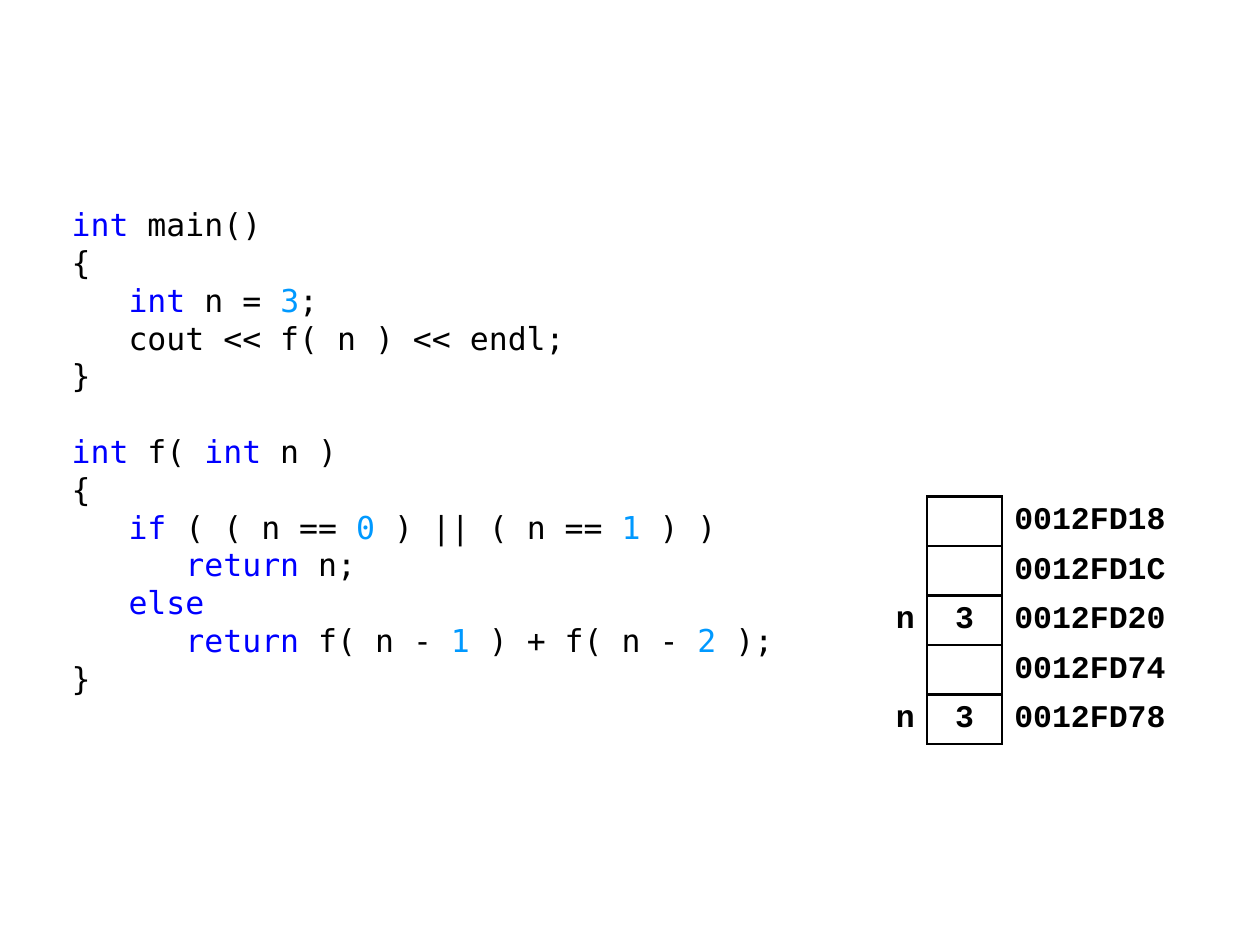
from itertools import groupby

from lxml import etree
from pptx import Presentation
from pptx import util as u
from pptx.dml.color import RGBColor
from pptx.enum import text
from pptx.oxml import ns

BLACK = RGBColor(0x00, 0x00, 0x00)
KEYWORD_BLUE = RGBColor(0x00, 0x00, 0xFF)
NUMBER_BLUE = RGBColor(0x00, 0x99, 0xFF)
KEYWORDS = {"int", "if", "else", "return"}
NO_STYLE = "{2D5ABB26-0587-4C30-8999-92F81FD0307C}"
LINE_HEIGHT = u.Pt(21.6)

MAIN_CODE = """int main()
{
   int n = 3;
   cout << f( n ) << endl;
}"""
FUNCTION_CODE = """int f( int n )
{
   if ( ( n == 0 ) || ( n == 1 ) )
      return n;
   else
      return f( n - 1 ) + f( n - 2 );
}"""
# Label, value and address of each memory cell
MEMORY = [
    ("", "", "0012FD18"),
    ("", "", "0012FD1C"),
    ("n", "3", "0012FD20"),
    ("", "", "0012FD74"),
    ("n", "3", "0012FD78"),
]
ROW_COUNT = 11
FIRST_USED = ROW_COUNT - len(MEMORY)


def token_colour(token):
    if token in KEYWORDS:
        return KEYWORD_BLUE
    return NUMBER_BLUE if token.isdigit() else BLACK


def add_border(cell, side):
    properties = cell._tc.get_or_add_tcPr()
    line = etree.SubElement(properties, ns.qn("a:ln" + side), w=str(u.Pt(1.5)))
    fill = etree.SubElement(line, ns.qn("a:solidFill"))
    etree.SubElement(fill, ns.qn("a:srgbClr"), val=str(BLACK))


deck = Presentation()
deck.slide_width, deck.slide_height = u.Pt(720), u.Pt(540)
page = deck.slides.add_slide(deck.slide_layouts[6])

# Code listing, coloured by token
box = page.shapes.add_textbox(u.Pt(33.84), u.Pt(113.76), u.Pt(425.52), u.Pt(297.36))
frame = box.text_frame
frame.word_wrap = True
para = frame.paragraphs[0]
for block_number, block in enumerate((MAIN_CODE, FUNCTION_CODE)):
    for line_number, line in enumerate(block.splitlines()):
        if block_number or line_number:
            para = frame.add_paragraph()
        para.line_spacing = LINE_HEIGHT
        if block_number and line_number == 0:
            para.space_before = LINE_HEIGHT
        tokens = ["".join(group) for _, group in groupby(line, str.isalnum)]
        for colour, group in groupby(tokens, token_colour):
            span = para.add_run()
            span.text = "".join(group)
            span.font.name = "DejaVu Sans Mono"
            span.font.size = u.Pt(18)
            span.font.color.rgb = colour

# Memory table, with the stack in its lowest rows
holder = page.shapes.add_table(
    ROW_COUNT, 3, u.Pt(501.84), u.Pt(113.76), u.Pt(169.92), u.Pt(311.76)
)
table = holder.table
table.first_row = table.horz_banding = False
table._tbl.tblPr.find(ns.qn("a:tableStyleId")).text = NO_STYLE
for column, width in zip(table.columns, (28.08, 42.48, 99.36)):
    column.width = u.Pt(width)

ALIGNMENTS = (text.PP_ALIGN.RIGHT, text.PP_ALIGN.CENTER, text.PP_ALIGN.LEFT)
BORDERS = ("R", "LRTB", "L")
for row_number, row in enumerate(table.rows):
    row.height = u.Pt(28.34)
    used = row_number >= FIRST_USED
    words = MEMORY[row_number - FIRST_USED] if used else ("", "", "")
    for column_number, cell in enumerate(row.cells):
        if used:
            for side in BORDERS[column_number]:
                add_border(cell, side)
        elif row_number == FIRST_USED - 1 and column_number == 1:
            add_border(cell, "B")
        cell.fill.background()
        cell.vertical_anchor = text.MSO_ANCHOR.MIDDLE
        cell.margin_top = cell.margin_bottom = u.Pt(2.88)
        cell.margin_left = u.Pt(7.2)
        cell.margin_right = u.Pt(5.76 if column_number == 2 else 7.2)
        para = cell.text_frame.paragraphs[0]
        para.text = words[column_number]
        para.alignment = ALIGNMENTS[column_number]
        for font in [para.font] + [span.font for span in para.runs]:
            font.name = "Courier New"
            font.size = u.Pt(18)
            font.bold = True
            font.color.rgb = BLACK

deck.save("out.pptx")
